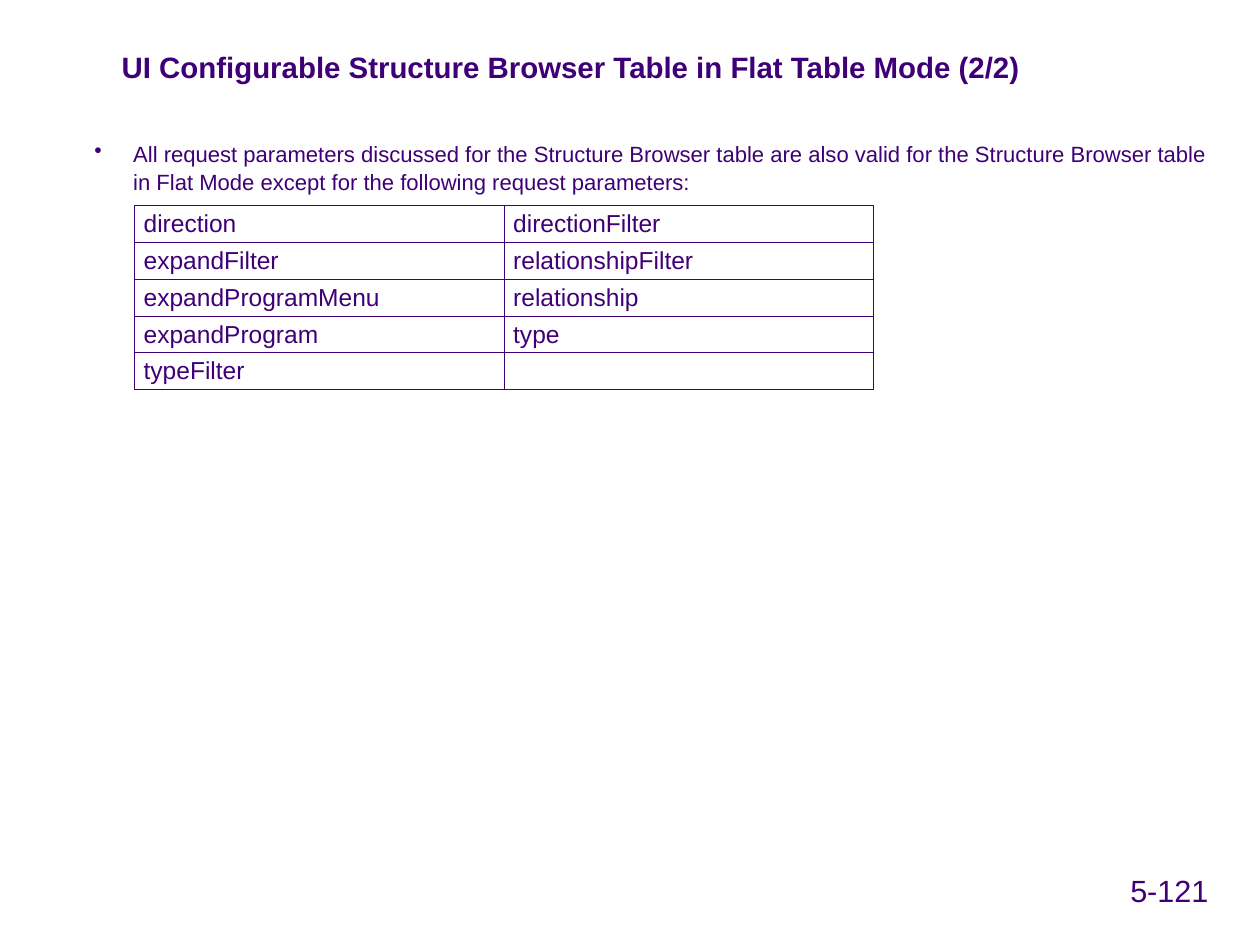
from dataclasses import dataclass

from lxml import etree
from pptx import Presentation
from pptx import util as u
from pptx.dml import color
from pptx.enum import text as text_enum
from pptx.oxml import ns
from pptx.slide import Slide
from pptx.table import _Cell as Cell
from pptx.text.text import TextFrame


@dataclass(frozen=True)
class Theme:
    font: str = "Arial"
    ink: str = "3F0077"
    title_size: float = 24
    body_size: float = 18
    table_size: float = 20
    number_size: float = 25
    border_width: float = 1


@dataclass(frozen=True)
class Box:
    left: float
    top: float
    width: float
    height: float

    def lengths(self) -> tuple[u.Length, ...]:
        return tuple(u.Pt(value) for value in (self.left, self.top, self.width, self.height))


@dataclass(frozen=True)
class TextBlock:
    text: str
    box: Box
    size: float
    bold: bool = False
    margins: tuple[float, float] = (7.2, 3.6)
    wrap: bool = True
    hanging: float = 0
    line_spacing: float = 1.0


THEME = Theme()

TEXT_BLOCKS = (
    TextBlock(
        "All request parameters discussed for the Structure Browser table are also valid "
        "for the Structure Browser table in Flat Mode except for the following request parameters:",
        Box(77, 113, 911.5, 619),
        THEME.body_size,
        margins=(0, 0),
        hanging=31.7,
        line_spacing=1.07,
    ),
    TextBlock(
        "UI Configurable Structure Browser Table in Flat Table Mode (2/2)",
        Box(92.2, 36.7, 897.8, 36.7),
        THEME.title_size,
        bold=True,
    ),
    TextBlock("5-121", Box(915.1, 707.8, 80, 37.4), THEME.number_size, wrap=False),
)

TABLE_BOX = Box(110, 168, 603, 147.5)
PARAMETERS = (
    ("direction", "directionFilter"),
    ("expandFilter", "relationshipFilter"),
    ("expandProgramMenu", "relationship"),
    ("expandProgram", "type"),
    ("typeFilter", ""),
)


def write_text(
    frame: TextFrame,
    content: str,
    *,
    size: float,
    bold: bool = False,
    hanging: float = 0,
    line_spacing: float = 1.0,
) -> None:
    paragraph = frame.paragraphs[0]
    if hanging:
        properties = paragraph._p.get_or_add_pPr()
        properties.set("marL", str(u.Pt(hanging)))
        properties.set("indent", str(-u.Pt(hanging)))
        etree.SubElement(properties, ns.qn("a:buChar")).set("char", "•")
    paragraph.alignment = text_enum.PP_ALIGN.LEFT
    paragraph.line_spacing = line_spacing
    run = paragraph.add_run()
    run.text = content
    run.font.name = THEME.font
    run.font.size = u.Pt(size)
    run.font.bold = bold
    run.font.color.rgb = color.RGBColor.from_string(THEME.ink)


def draw_text_block(slide: Slide, block: TextBlock) -> None:
    frame = slide.shapes.add_textbox(*block.box.lengths()).text_frame
    frame.word_wrap = block.wrap
    horizontal, vertical = block.margins
    frame.margin_left = frame.margin_right = u.Pt(horizontal)
    frame.margin_top = frame.margin_bottom = u.Pt(vertical)
    write_text(
        frame,
        block.text,
        size=block.size,
        bold=block.bold,
        hanging=block.hanging,
        line_spacing=block.line_spacing,
    )


def format_cell(cell: Cell) -> None:
    cell.margin_top = cell.margin_bottom = u.Pt(3)
    cell.vertical_anchor = text_enum.MSO_ANCHOR.MIDDLE
    properties = cell._tc.get_or_add_tcPr()
    for side in ("lnL", "lnR", "lnT", "lnB"):
        border = etree.SubElement(properties, ns.qn(f"a:{side}"))
        border.set("w", str(u.Pt(THEME.border_width)))
        fill = etree.SubElement(border, ns.qn("a:solidFill"))
        etree.SubElement(fill, ns.qn("a:srgbClr")).set("val", THEME.ink)
    cell.fill.background()


def draw_parameter_table(slide: Slide) -> None:
    rows, columns = len(PARAMETERS), len(PARAMETERS[0])
    table = slide.shapes.add_table(rows, columns, *TABLE_BOX.lengths()).table
    table.first_row = table.horz_banding = False
    for row, names in enumerate(PARAMETERS):
        for column, name in enumerate(names):
            cell = table.cell(row, column)
            format_cell(cell)
            if name:
                write_text(cell.text_frame, name, size=THEME.table_size)


def main() -> None:
    presentation = Presentation()
    presentation.slide_width = u.Pt(1028)
    presentation.slide_height = u.Pt(768)
    slide = presentation.slides.add_slide(presentation.slide_layouts[6])
    for block in TEXT_BLOCKS:
        draw_text_block(slide, block)
    draw_parameter_table(slide)
    presentation.save("out.pptx")


if __name__ == "__main__":
    main()
